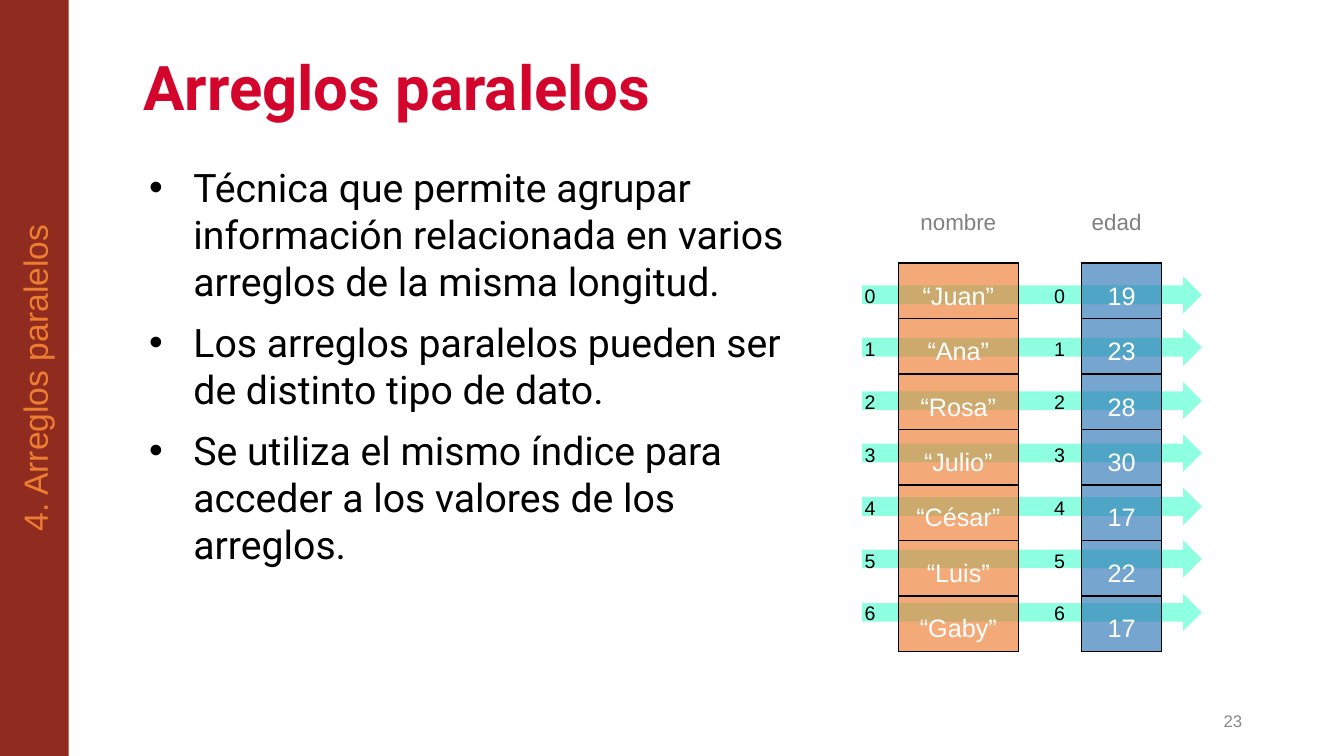
import pptx
import pptx.util
import pptx.dml.color
import pptx.enum.shapes
import pptx.enum.text
import pptx.oxml
import pptx.oxml.ns

EMU_PER_PX = 9144  # 100 px to the inch
THEME = {
    "heading_font": "Roboto", "label_font": "Arial",
    "title": "D3052C", "body": "000000", "sidebar": "902B1F", "accent": "ED7D31",
    "age": "2E75B6", "arrow": "8FFFE2", "value": "FFFFFF", "label": "808080",
    "page": "888888", "border": "000000",
    "title_size": 44, "body_size": 28, "sidebar_size": 24, "value_size": 18,
    "label_size": 16, "index_size": 14, "page_size": 12,
}
ALIGN = pptx.enum.text.PP_ALIGN
ANCHOR = pptx.enum.text.MSO_ANCHOR
NO_TABLE_STYLE = "{2D5ABB26-0587-4C30-8999-92F81FD0307C}"


def px(*lengths):
    return [pptx.util.Emu(length * EMU_PER_PX) for length in lengths]


def style(paragraph, role, size, font="label_font", align=ALIGN.LEFT, bold=False):
    paragraph.alignment = align
    paragraph.font.name = THEME[font]
    paragraph.font.size = pptx.util.Pt(THEME[size])
    paragraph.font.bold = bold
    paragraph.font.color.rgb = pptx.dml.color.RGBColor.from_string(THEME[role])


presentation = pptx.Presentation()
presentation.slide_width, presentation.slide_height = px(1333, 750)
slide = presentation.slides.add_slide(presentation.slide_layouts[5])
shapes = slide.shapes

# Title
title = shapes.title
title.left, title.top, title.width, title.height = px(132, 47, 1110, 86)
title.text_frame.text = "Arreglos paralelos"
title.text_frame.auto_size = pptx.enum.text.MSO_AUTO_SIZE.NONE
title.text_frame.vertical_anchor = ANCHOR.MIDDLE
title.text_frame.paragraphs[0].line_spacing = 0.9
style(title.text_frame.paragraphs[0], "title", "title_size", "heading_font", bold=True)

# Sidebar
sidebar = shapes.add_shape(pptx.enum.shapes.MSO_SHAPE.RECTANGLE, *px(0, 0, 68, 750))
sidebar.shadow.inherit = False
sidebar.fill.solid()
sidebar.fill.fore_color.rgb = pptx.dml.color.RGBColor.from_string(THEME["sidebar"])
sidebar.line.fill.background()
sidebar.text_frame.text = "4. Arreglos paralelos"
sidebar.text_frame.vertical_anchor = ANCHOR.MIDDLE
sidebar.text_frame._txBody.bodyPr.set("vert", "vert270")
style(sidebar.text_frame.paragraphs[0], "accent", "sidebar_size", align=ALIGN.CENTER)

# Bullets
body = shapes.add_textbox(*px(132, 157, 661, 523)).text_frame
body.word_wrap = True
points = [
    "Técnica que permite agrupar información relacionada en varios arreglos de la misma longitud.",
    "Los arreglos paralelos pueden ser de distinto tipo de dato.",
    "Se utiliza el mismo índice para acceder a los valores de los arreglos.",
]
left_margin, first_indent = px(50, -44)
for number, point in enumerate(points):
    paragraph = body.add_paragraph() if number else body.paragraphs[0]
    paragraph.text = point
    if number:
        paragraph.space_before = pptx.util.Pt(10)
    properties = paragraph._p.get_or_add_pPr()
    properties.set("marL", str(left_margin))
    properties.set("indent", str(first_indent))
    for bullet in ('<a:buFont {} typeface="Arial"/>', '<a:buChar {} char="•"/>'):
        properties.append(pptx.oxml.parse_xml(bullet.format(pptx.oxml.ns.nsdecls("a"))))
    style(paragraph, "body", "body_size", "heading_font")

# Column labels and page number
for text, box, role, size, align, anchor in [
    ("nombre", (891, 202, 119, 37), "label", "label_size", ALIGN.CENTER, ANCHOR.TOP),
    ("edad", (1073, 202, 100, 37), "label", "label_size", ALIGN.LEFT, ANCHOR.TOP),
    ("23", (942, 695, 300, 40), "page", "page_size", ALIGN.RIGHT, ANCHOR.MIDDLE),
]:
    label = shapes.add_textbox(*px(*box)).text_frame
    label.word_wrap = True
    label.text = text
    label.vertical_anchor = anchor
    style(label.paragraphs[0], role, size, align=align)

# One arrow through each pair of values
names = ["“Juan”", "“Ana”", "“Rosa”", "“Julio”", "“César”", "“Luis”", "“Gaby”"]
ages = ["19", "23", "28", "30", "17", "22", "17"]
indices = [str(index) for index in range(len(names))]
array_height = 367
for index in range(len(names)):
    top = 274 + round(index * array_height / len(names))
    arrow = shapes.add_shape(pptx.enum.shapes.MSO_SHAPE.RIGHT_ARROW, *px(855, top, 337, 37))
    arrow.shadow.inherit = False
    arrow.fill.solid()
    arrow.fill.fore_color.rgb = pptx.dml.color.RGBColor.from_string(THEME["arrow"])
    arrow.line.fill.background()

# Arrays, each with its index column
for values, left, top, width, fill, role, size in [
    (names, 891, 261, 119, "accent", "value", "value_size"),
    (ages, 1073, 261, 79, "age", "value", "value_size"),
    (indices, 841, 268, 44, None, "body", "index_size"),
    (indices, 1029, 268, 44, None, "body", "index_size"),
]:
    frame = shapes.add_table(len(values), 1, *px(left, top, width, array_height))
    table = frame.table
    table.first_row = table.horz_banding = False
    table._tbl.tblPr.find(pptx.oxml.ns.qn("a:tableStyleId")).text = NO_TABLE_STYLE
    for row, value in enumerate(values):
        cell = table.cell(row, 0)
        cell.text = value
        paragraph = cell.text_frame.paragraphs[0]
        paragraph.line_spacing = 1.5
        style(paragraph, role, size, align=ALIGN.CENTER)
        if fill is None:
            cell.fill.background()
            continue
        cell.fill.solid()
        cell.fill.fore_color.rgb = pptx.dml.color.RGBColor.from_string(THEME[fill])
        properties = cell._tc.get_or_add_tcPr()
        color = properties.find(".//" + pptx.oxml.ns.qn("a:srgbClr"))
        color.append(pptx.oxml.parse_xml(
            f'<a:alpha {pptx.oxml.ns.nsdecls("a")} val="65000"/>'))
        for position, side in enumerate("LRTB"):
            properties.insert(position, pptx.oxml.parse_xml(
                f'<a:ln{side} {pptx.oxml.ns.nsdecls("a")} w="12700"><a:solidFill>'
                f'<a:srgbClr val="{THEME["border"]}"/></a:solidFill></a:ln{side}>'))

presentation.save("out.pptx")
